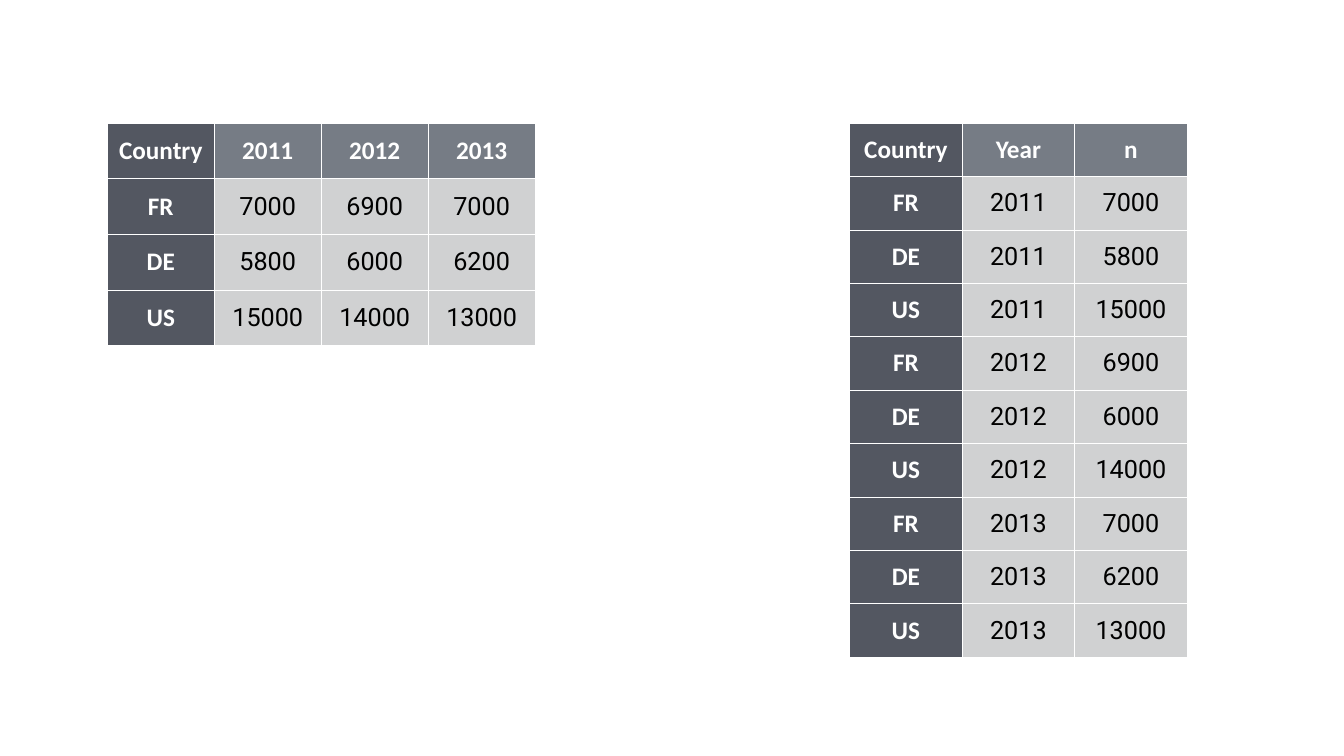
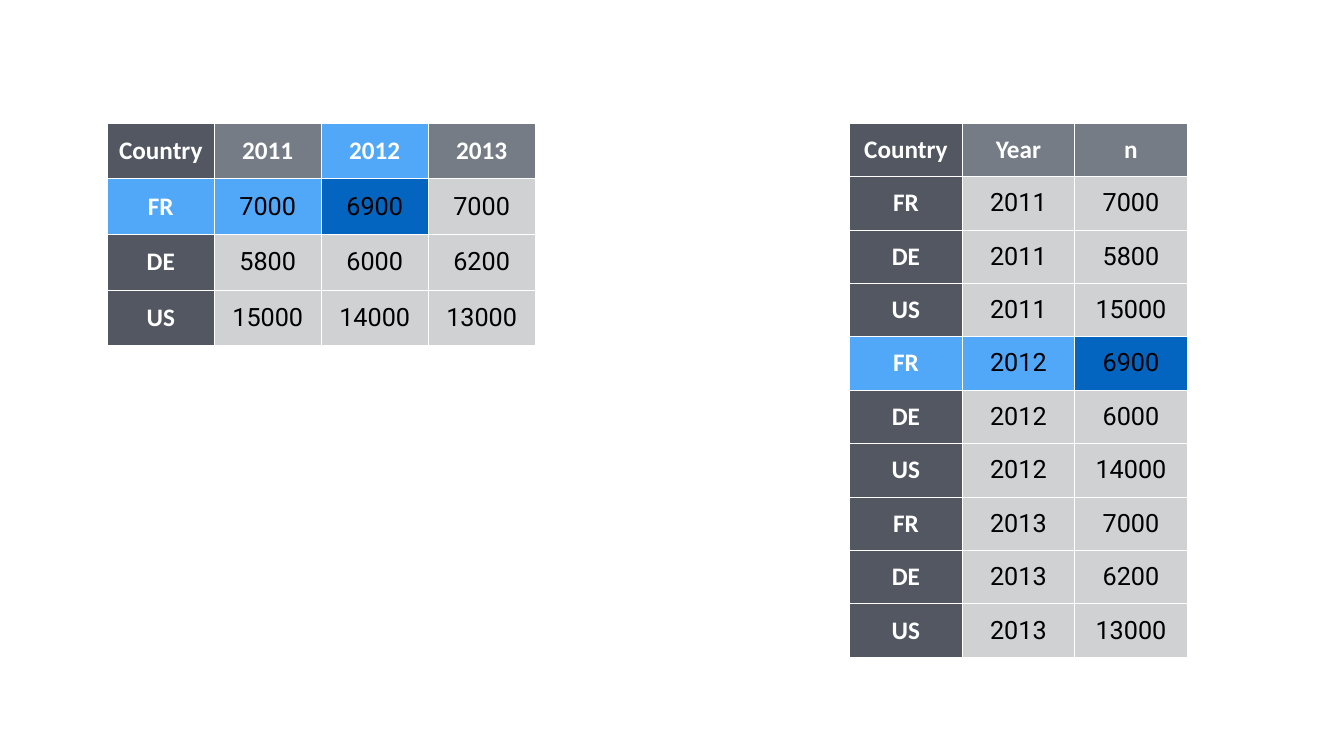
from lxml.etree import SubElement
from pptx import Presentation
from pptx.dml.color import RGBColor
from pptx.enum.text import MSO_ANCHOR, PP_ALIGN
from pptx.oxml.ns import qn
from pptx.util import Inches, Pt

# Content: cases per country and year
YEARS = ["2011", "2012", "2013"]
CASES = {
    "FR": ["7000", "6900", "7000"],
    "DE": ["5800", "6000", "6200"],
    "US": ["15000", "14000", "13000"],
}
WIDE_ROWS = [["Country", *YEARS]] + [[country, *counts] for country, counts in CASES.items()]
LONG_ROWS = [["Country", "Year", "n"]] + [
    [country, year, counts[i]]
    for i, year in enumerate(YEARS)
    for country, counts in CASES.items()
]

# Shared look
WHITE = RGBColor(0xFF, 0xFF, 0xFF)
BLACK = RGBColor(0x00, 0x00, 0x00)
HEADER_GREY = RGBColor(0x76, 0x7C, 0x85)
COUNTRY_GREY = RGBColor(0x53, 0x57, 0x61)
COUNT_GREY = RGBColor(0xD0, 0xD1, 0xD2)
KEY_BLUE = RGBColor(0x51, 0xA8, 0xF9)
VALUE_BLUE = RGBColor(0x03, 0x65, 0xC0)
LABEL_FONT, COUNT_FONT = "Calibri", "Roboto"
CELL_MARGIN = Inches(0.06)

# Left, top, width, height in inches
WIDE_BOX = (2.13, 2.44, 8.49, 4.42)
LONG_BOX = (16.86, 2.44, 6.7, 10.6)

# Highlighted cells as (row, column): fill
WIDE_MARKS = {(0, 2): KEY_BLUE, (1, 0): KEY_BLUE, (1, 1): KEY_BLUE, (1, 2): VALUE_BLUE}
LONG_MARKS = {(4, 0): KEY_BLUE, (4, 1): KEY_BLUE, (4, 2): VALUE_BLUE}

# One entry per slide: marks of the wide and of the long table
SLIDES = [({}, {}), (WIDE_MARKS, LONG_MARKS)]


def add_borders(cell, color=WHITE, width=Pt(1)):
    properties = cell._tc.get_or_add_tcPr()
    for side in ("lnL", "lnR", "lnT", "lnB"):
        line = SubElement(properties, qn(f"a:{side}"), w=str(width))
        fill = SubElement(line, qn("a:solidFill"))
        SubElement(fill, qn("a:srgbClr"), val=str(color))


def write_cell(cell, text, *, fill, font, color, bold, size=36):
    add_borders(cell)
    cell.fill.solid()
    cell.fill.fore_color.rgb = fill
    cell.vertical_anchor = MSO_ANCHOR.MIDDLE
    cell.margin_left = cell.margin_right = CELL_MARGIN
    cell.margin_top = cell.margin_bottom = CELL_MARGIN
    paragraph = cell.text_frame.paragraphs[0]
    paragraph.alignment = PP_ALIGN.CENTER
    run = paragraph.add_run()
    run.text = text
    run.font.name = font
    run.font.size = Pt(size)
    run.font.bold = bold
    run.font.color.rgb = color


def add_cases_table(slide, rows, box, marks):
    frame = slide.shapes.add_table(len(rows), len(rows[0]), *map(Inches, box))
    table = frame.table
    table.first_col = True
    table.horz_banding = False
    for r, row in enumerate(rows):
        for c, text in enumerate(row):
            is_label = r == 0 or c == 0
            base = COUNTRY_GREY if c == 0 else HEADER_GREY if r == 0 else COUNT_GREY
            write_cell(
                table.cell(r, c), text,
                fill=marks.get((r, c), base),
                font=LABEL_FONT if is_label else COUNT_FONT,
                color=WHITE if is_label else BLACK,
                bold=is_label,
            )


def main():
    deck = Presentation()
    deck.slide_width, deck.slide_height = Inches(26.67), Inches(15)
    blank = deck.slide_layouts[6]
    for wide_marks, long_marks in SLIDES:
        slide = deck.slides.add_slide(blank)
        add_cases_table(slide, WIDE_ROWS, WIDE_BOX, wide_marks)
        add_cases_table(slide, LONG_ROWS, LONG_BOX, long_marks)
    deck.save("out.pptx")


if __name__ == "__main__":
    main()
